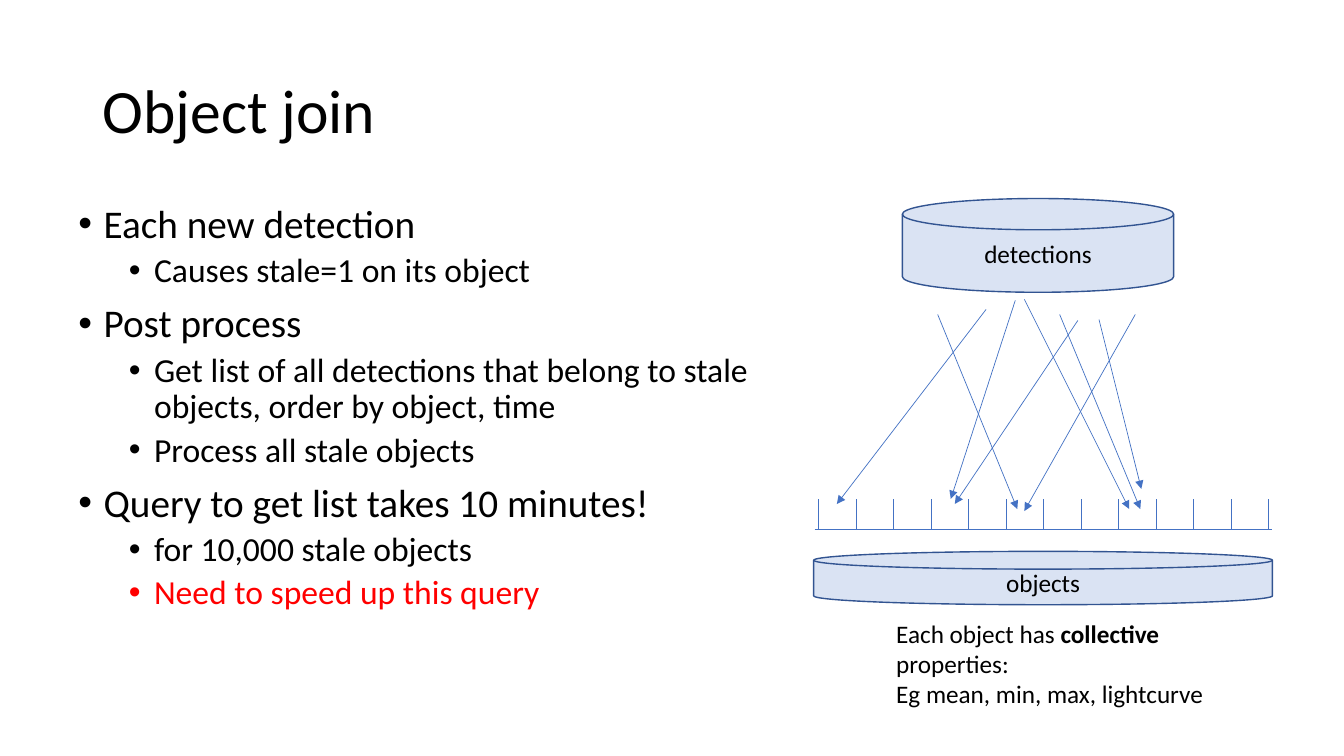
from dataclasses import dataclass

from lxml import etree
from pptx import Presentation
from pptx.dml.color import RGBColor
from pptx.enum.shapes import MSO_CONNECTOR as Connector, MSO_SHAPE as Preset
from pptx.enum.text import MSO_ANCHOR as Anchor, PP_ALIGN as Align
from pptx.oxml.ns import qn
from pptx.util import Inches, Pt


@dataclass(frozen=True)
class Theme:
    font: str = "Calibri"
    ink: str = "000000"
    alert: str = "FF0000"
    disk_fill: str = "DAE3F3"
    disk_line: str = "325491"
    stroke: str = "4472C4"
    title: int = 44
    point: int = 28
    subpoint: int = 24
    label: int = 18


THEME = Theme()

# Outline: level, text, colour
POINTS = [
    (0, "Each new detection", THEME.ink),
    (1, "Causes stale=1 on its object", THEME.ink),
    (0, "Post process", THEME.ink),
    (1, "Get list of all detections that belong to stale objects, order by object, time", THEME.ink),
    (1, "Process all stale objects", THEME.ink),
    (0, "Query to get list takes 10 minutes!", THEME.ink),
    (1, "for 10,000 stale objects", THEME.ink),
    (1, "Need to speed up this query", THEME.alert),
]

# Each detection points to the object it belongs to
DETECTION_ARROWS = [
    ((9.78, 3.07), (8.3, 5)),
    ((10.07, 2.98), (9.43, 4.95)),
    ((11.26, 3.12), (10.16, 5.07)),
    ((10.69, 3.18), (9.47, 5)),
    ((10.16, 2.97), (11.2, 5.05)),
    ((9.3, 3.12), (10.09, 5.05)),
    ((10.51, 3.12), (11.31, 5.05)),
    ((10.9, 3.17), (11.32, 4.85)),
]

# Ruler with one tick per object
RULER_LEFT, RULER_RIGHT, RULER_Y = 8.08, 12.62, 5.25
TICK_COUNT, TICK_HEIGHT = 13, 0.3
FIRST_TICK, LAST_TICK = 8.12, 12.58


def add_span(para, text, *, size, color=THEME.ink, bold=False):
    span = para.add_run()
    span.text = text
    span.font.name = THEME.font
    span.font.size = Pt(size)
    span.font.bold = bold
    span.font.color.rgb = RGBColor.from_string(color)


def add_box(page, left, top, width, height, anchor=Anchor.TOP):
    box = page.shapes.add_textbox(Inches(left), Inches(top), Inches(width), Inches(height))
    box.text_frame.word_wrap = True
    box.text_frame.vertical_anchor = anchor
    return box.text_frame


def add_bullet(para, level):
    props = para._p.get_or_add_pPr()
    props.set("marL", str(Inches(0.25 + 0.5 * level)))
    props.set("indent", str(Inches(-0.25)))
    etree.SubElement(props, qn("a:buFont")).set("typeface", "Arial")
    etree.SubElement(props, qn("a:buChar")).set("char", "•")


def add_title(page, text):
    frame = add_box(page, 0.92, 0.4, 11.5, 1.45, Anchor.MIDDLE)
    para = frame.paragraphs[0]
    para.line_spacing = 0.9
    add_span(para, text, size=THEME.title)


def add_outline(page, points):
    frame = add_box(page, 0.68, 1.98, 7.63, 4.76)
    for index, (level, text, color) in enumerate(points):
        para = frame.add_paragraph() if index else frame.paragraphs[0]
        para.level = level
        add_bullet(para, level)
        para.line_spacing = 0.9
        if index:
            para.space_before = Pt(5 if level else 10)
        add_span(para, text, size=THEME.subpoint if level else THEME.point, color=color)


def add_disk(page, text, left, top, width, height):
    disk = page.shapes.add_shape(
        Preset.FLOWCHART_MAGNETIC_DISK, Inches(left), Inches(top), Inches(width), Inches(height))
    disk.shadow.inherit = False
    disk.fill.solid()
    disk.fill.fore_color.rgb = RGBColor.from_string(THEME.disk_fill)
    disk.line.color.rgb = RGBColor.from_string(THEME.disk_line)
    disk.line.width = Pt(1)
    disk.text_frame.vertical_anchor = Anchor.MIDDLE
    para = disk.text_frame.paragraphs[0]
    para.alignment = Align.CENTER
    add_span(para, text, size=THEME.label)


def add_line(page, start, end, arrow=False):
    line = page.shapes.add_connector(
        Connector.STRAIGHT, *(Inches(value) for value in (*start, *end)))
    line.line.color.rgb = RGBColor.from_string(THEME.stroke)
    line.line.width = Pt(0.5)
    if arrow:
        etree.SubElement(line.line._get_or_add_ln(), qn("a:tailEnd")).set("type", "triangle")
    etree.SubElement(line._element.spPr, qn("a:effectLst"))


def add_ruler(page):
    add_line(page, (RULER_LEFT, RULER_Y), (RULER_RIGHT, RULER_Y))
    gap = (LAST_TICK - FIRST_TICK) / (TICK_COUNT - 1)
    for index in range(TICK_COUNT):
        x = FIRST_TICK + index * gap
        add_line(page, (x, RULER_Y), (x, RULER_Y - TICK_HEIGHT))


def add_caption(page):
    frame = add_box(page, 8.79, 6.08, 3.35, 0.71)
    para = frame.paragraphs[0]
    add_span(para, "Each object has ", size=THEME.label)
    add_span(para, "collective", size=THEME.label, bold=True)
    add_span(para, " properties:", size=THEME.label)
    add_span(frame.add_paragraph(), "Eg mean, min, max, lightcurve", size=THEME.label)


def main():
    deck = Presentation()
    deck.slide_width, deck.slide_height = Inches(13.33), Inches(7.5)
    page = deck.slides.add_slide(deck.slide_layouts[6])

    # Text side
    add_title(page, "Object join")
    add_outline(page, POINTS)

    # Diagram side
    add_disk(page, "detections", 8.95, 1.97, 2.69, 0.93)
    add_disk(page, "objects", 8.07, 5.47, 4.55, 0.53)
    add_ruler(page)
    for start, end in DETECTION_ARROWS:
        add_line(page, start, end, arrow=True)
    add_caption(page)

    deck.save("out.pptx")


if __name__ == "__main__":
    main()
